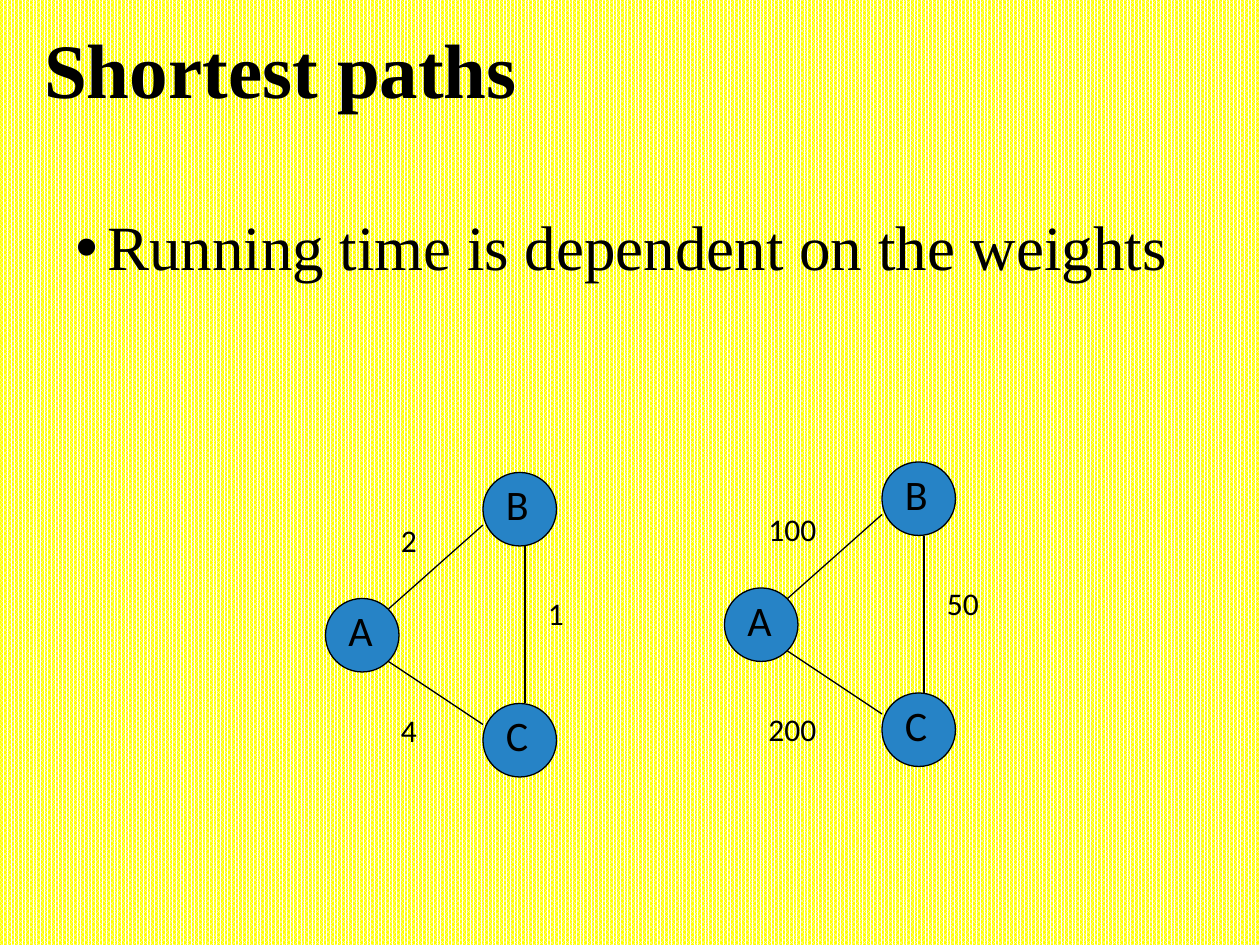
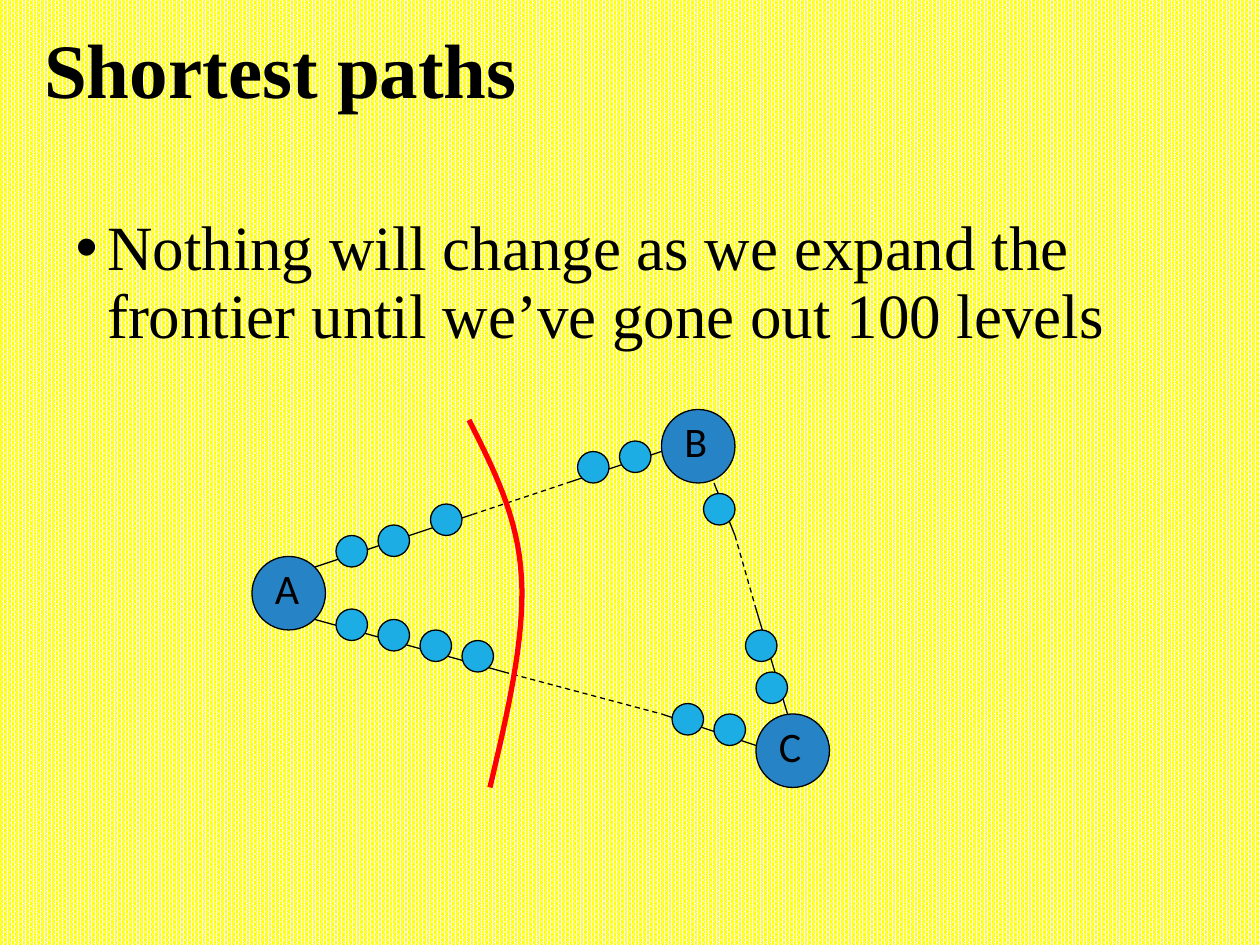
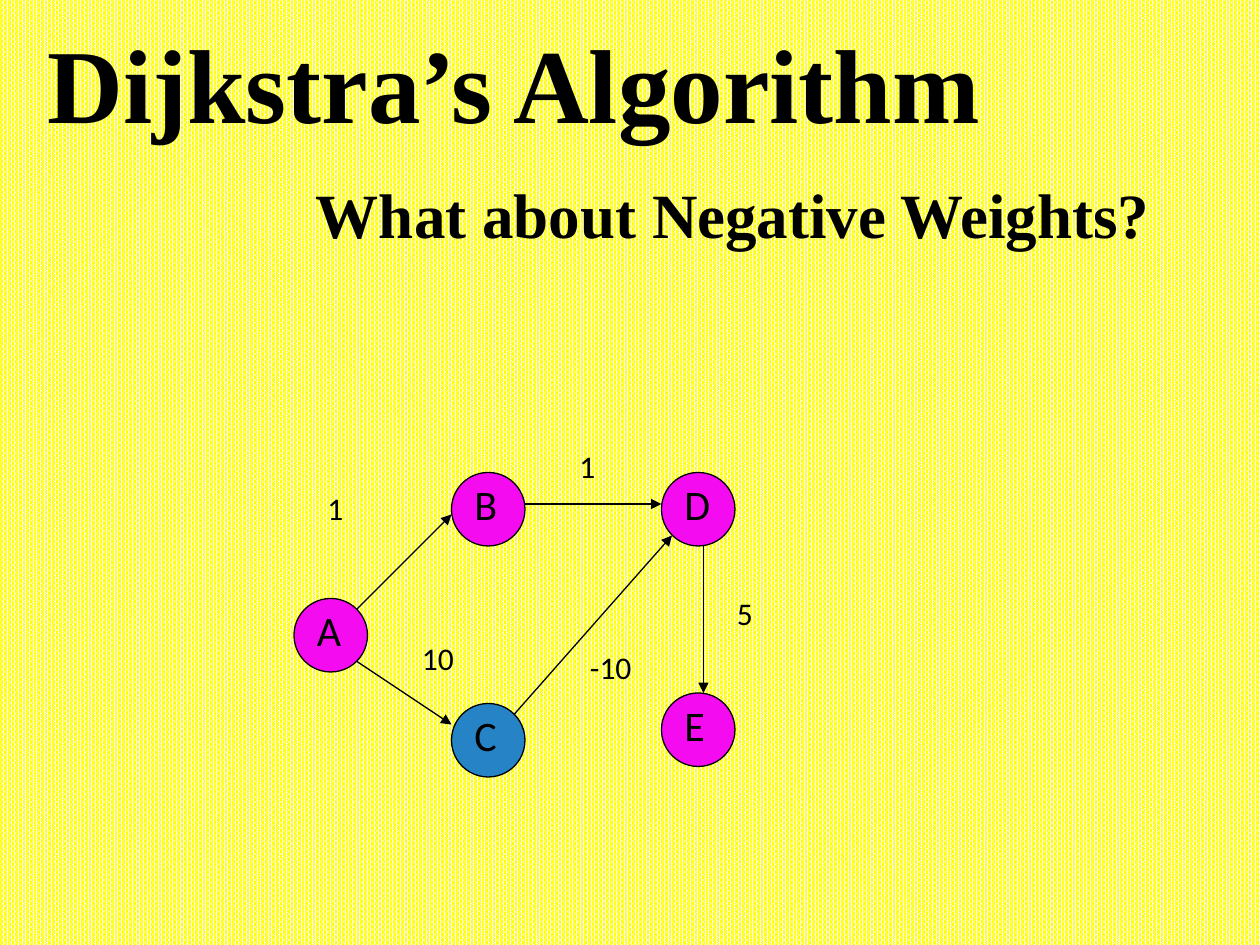
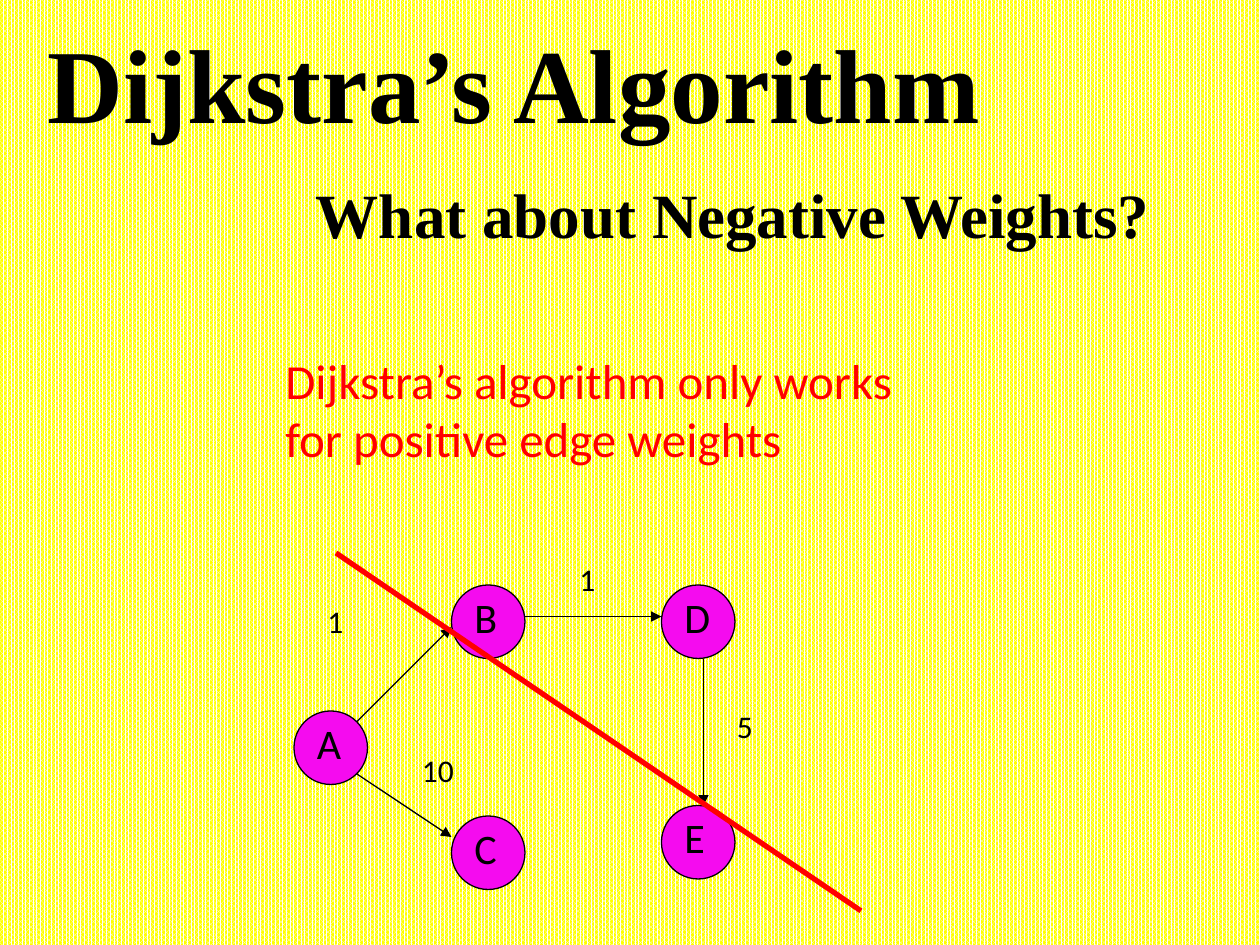
from dataclasses import dataclass

from lxml import etree
from pptx import Presentation
from pptx import util as u
from pptx.dml.color import RGBColor
from pptx.enum import dml, shapes, text
from pptx.oxml.ns import qn


@dataclass(frozen=True)
class Theme:
    serif: str = "Times New Roman"
    sans: str = "Calibri"
    black: str = "000000"
    white: str = "FFFFFF"
    yellow: str = "FFFF00"
    red: str = "FF0000"
    blue: str = "2683C6"
    cyan: str = "1CADE4"
    magenta: str = "F50BEF"
    headline: int = 60
    title: int = 44
    body: int = 36
    note: int = 28
    node: int = 24
    weight: int = 18
    thin: float = 0.75
    thick: float = 3
    node_side: int = 42
    dot_side: int = 18


class Deck:
    TITLE_AND_BODY = 1
    TITLE_ONLY = 5

    def __init__(self, theme):
        self.theme = theme
        self.show = Presentation()
        self.show.slide_width, self.show.slide_height = u.Pt(720), u.Pt(540)
        self.page = None
        fill = self.show.slide_master.background.fill
        fill.patterned()
        fill.pattern = dml.MSO_PATTERN.PERCENT_80
        fill.fore_color.rgb = RGBColor.from_string(theme.white)
        fill.back_color.rgb = RGBColor.from_string(theme.yellow)

    def add_page(self, layout):
        self.page = self.show.slides.add_slide(self.show.slide_layouts[layout])

    def add_words(self, box, words, font, size, colour=None, bold=False):
        frame = box.text_frame
        frame.word_wrap = True
        para = frame.paragraphs[0]
        para.alignment = text.PP_ALIGN.LEFT
        span = para.add_run()
        span.text = words
        span.font.name = font
        span.font.size = u.Pt(size)
        span.font.bold = bold
        span.font.color.rgb = RGBColor.from_string(colour or self.theme.black)
        return para

    def heading(self, box, words, size):
        para = self.add_words(box, words, self.theme.serif, size, bold=True)
        para.line_spacing = 0.9
        box.text_frame.auto_size = text.MSO_AUTO_SIZE.NONE
        box.text_frame.vertical_anchor = text.MSO_ANCHOR.MIDDLE

    def place(self, box, left, top, width, height):
        box.left, box.top = u.Pt(left), u.Pt(top)
        box.width, box.height = u.Pt(width), u.Pt(height)
        return box

    def title(self, words, size, frame):
        self.heading(self.place(self.page.shapes.title, *frame), words, size)

    def subtitle(self, words, frame):
        box = self.page.shapes.add_textbox(*map(u.Pt, frame))
        self.heading(box, words, self.theme.body)

    def bullet(self, words):
        box = self.place(self.page.placeholders[1], 36, 120, 648, 96)
        para = self.add_words(box, words, self.theme.serif, self.theme.body)
        para.line_spacing = 0.9
        para.space_before = u.Pt(10)
        box.text_frame.auto_size = text.MSO_AUTO_SIZE.NONE
        props = para._p.get_or_add_pPr()
        props.set("marL", str(u.Pt(18)))
        props.set("indent", str(u.Pt(-18)))
        etree.SubElement(props, qn("a:buChar")).set("char", "•")

    def label(self, words, left, top, width, height=29, size=None, colour=None, parent=None):
        canvas = parent or self.page.shapes
        box = canvas.add_textbox(*map(u.Pt, (left, top, width, height)))
        self.add_words(box, words, self.theme.sans, size or self.theme.weight, colour)
        box.text_frame.auto_size = text.MSO_AUTO_SIZE.SHAPE_TO_FIT_TEXT

    def circle(self, left, top, side, colour, parent=None):
        canvas = self.page.shapes if parent is None else parent
        disc = canvas.add_shape(shapes.MSO_SHAPE.OVAL, *map(u.Pt, (left, top, side, side)))
        disc.shadow.inherit = False
        disc.fill.solid()
        disc.fill.fore_color.rgb = RGBColor.from_string(colour)
        self.stroke(disc)

    def node(self, name, left, top, colour=None):
        group = self.page.shapes.add_group_shape().shapes
        self.circle(left, top, self.theme.node_side, colour or self.theme.blue, group)
        self.label(name, left + 6, top, 36, 36, self.theme.node, parent=group)

    def dot(self, left, top):
        self.circle(left, top, self.theme.dot_side, self.theme.cyan)

    def stroke(self, item, colour=None, width=None):
        item.line.color.rgb = RGBColor.from_string(colour or self.theme.black)
        item.line.width = u.Pt(width or self.theme.thin)

    def edge(self, start, end, arrow=False, dashed=False, colour=None, width=None):
        line = self.page.shapes.add_connector(
            shapes.MSO_CONNECTOR.STRAIGHT, *map(u.Pt, (*start, *end)))
        self.stroke(line, colour, width)
        if dashed:
            line.line.dash_style = dml.MSO_LINE.DASH
        props = line._element.spPr
        if arrow:
            etree.SubElement(props.find(qn("a:ln")), qn("a:tailEnd")).set("type", "triangle")
        etree.SubElement(props, qn("a:effectLst"))

    def route(self, *stops):
        for index, (start, end) in enumerate(zip(stops, stops[1:])):
            self.edge(start, end, dashed=index == 1)

    def curve(self, points, steps=16):
        def at(four, t):
            shares = ((1 - t) ** 3, 3 * t * (1 - t) ** 2, 3 * t * t * (1 - t), t ** 3)
            return tuple(u.Pt(sum(s * p[axis] for s, p in zip(shares, four))) for axis in (0, 1))

        trail = [at(points[first:first + 4], step / steps)
                 for first in range(0, len(points) - 1, 3)
                 for step in range(1, steps + 1)]
        builder = self.page.shapes.build_freeform(*map(u.Pt, points[0]))
        builder.add_line_segments(trail, close=False)
        shape = builder.convert_to_shape()
        shape.shadow.inherit = False
        shape.fill.background()
        self.stroke(shape, self.theme.red, self.theme.thick)


def shortest_paths_page(deck, statement):
    deck.add_page(Deck.TITLE_AND_BODY)
    deck.title("Shortest paths", deck.theme.title, (18, 11, 679, 62.5))
    deck.bullet(statement)


def triangle(deck, dx, dy, weights):
    for name, left, top in (("A", 186, 342), ("B", 276, 270), ("C", 276, 402)):
        deck.node(name, left + dx, top + dy)
    for x1, y1, x2, y2 in ((222, 348, 276, 300), (222, 378, 276, 414), (300, 402, 300, 312)):
        deck.edge((x1 + dx, y1 + dy), (x2 + dx, y2 + dy))
    for weight in weights:
        deck.label(*weight)


def weights_page(deck):
    shortest_paths_page(deck, "Running time is dependent on the weights")
    triangle(deck, 0, 0, (("4", 222, 403, 36), ("1", 306, 336, 42), ("2", 222, 294, 60)))
    triangle(deck, 228, -6, (("200", 432, 402, 84), ("50", 534, 330, 42), ("100", 432, 288, 60)))


def frontier_page(deck):
    shortest_paths_page(
        deck, "Nothing will change as we expand the frontier until we’ve gone out 100 levels")
    deck.route((180, 324), (270, 294), (324, 276), (378, 258))
    deck.route((180, 354), (288, 384), (378, 408), (432, 426))
    deck.route((408, 276), (420, 306), (432, 348), (450, 408))
    for name, left, top in (("A", 144, 318), ("B", 378, 234), ("C", 432, 408)):
        deck.node(name, left, top)
    dots_ab = [(192, 306), (216, 300), (246, 288), (330, 258), (354, 252)]
    dots_ac = [(192 + 24 * i, 348 + 6 * i) for i in range(4)] + [(384, 402), (408, 408)]
    dots_bc = [(432, 384), (426, 360), (402, 282)]
    for left, top in dots_ab + dots_ac + dots_bc:
        deck.dot(left, top)
    deck.curve([(268, 240), (282, 268), (296, 295), (298, 330),
                (300, 365), (290, 407.5), (280, 450)])


def negative_weights_page(deck, dy, c_colour, with_negative):
    deck.add_page(Deck.TITLE_ONLY)
    magenta = deck.theme.magenta
    nodes = (("A", 168, 342, magenta), ("B", 258, 270, magenta), ("C", 258, 402, c_colour),
             ("E", 378, 396, magenta), ("D", 378, 270, magenta))
    edges = [(204, 348, 258, 294), (204, 378, 258, 414),
             (300, 288, 378, 288), (402, 312, 402, 396)]
    weights = [("1", 180, 276), ("1", 324, 252), ("5", 414, 336), ("10", 234, 361.5)]
    if with_negative:
        edges.append((294, 408, 384, 306))
        weights.append(("-10", 330, 367))
    for name, left, top, colour in nodes:
        deck.node(name, left, top + dy, colour)
    for x1, y1, x2, y2 in edges:
        deck.edge((x1, y1 + dy), (x2, y2 + dy), arrow=True)
    for words, left, top in weights:
        deck.label(words, left, top + dy, 54)
    deck.subtitle("What about Negative Weights?", (173.5, 96.5, 525.5, 56))
    deck.title("Dijkstra’s Algorithm", deck.theme.headline, (20, 6.5, 679, 89))


def positive_only_page(deck):
    theme = deck.theme
    negative_weights_page(deck, 64.3, theme.magenta, False)
    deck.edge((192, 316), (492, 520.5), colour=theme.red, width=theme.thick)
    deck.label("Dijkstra’s algorithm only works for positive edge weights",
               156, 196.5, 396, 74, theme.note, theme.red)


def main():
    deck = Deck(Theme())
    weights_page(deck)
    frontier_page(deck)
    negative_weights_page(deck, 0, deck.theme.blue, True)
    positive_only_page(deck)
    deck.show.save("out.pptx")


if __name__ == "__main__":
    main()
